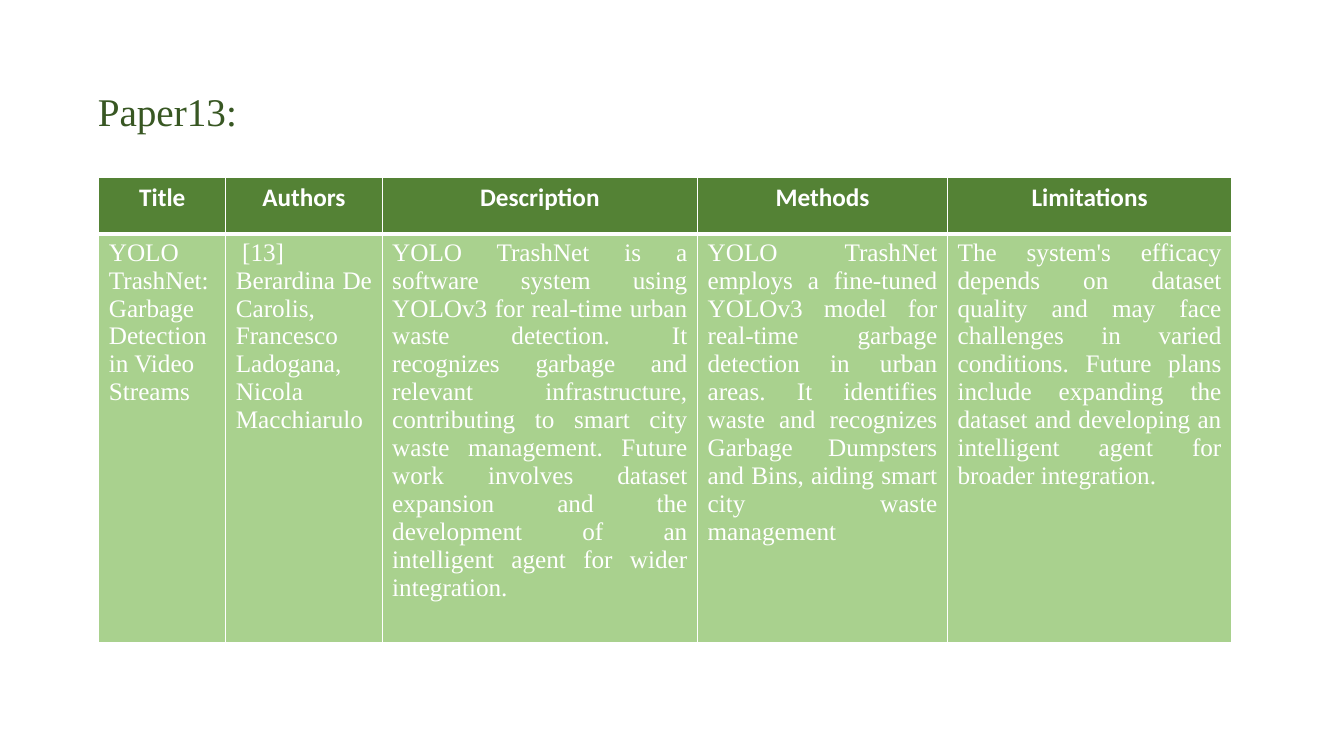
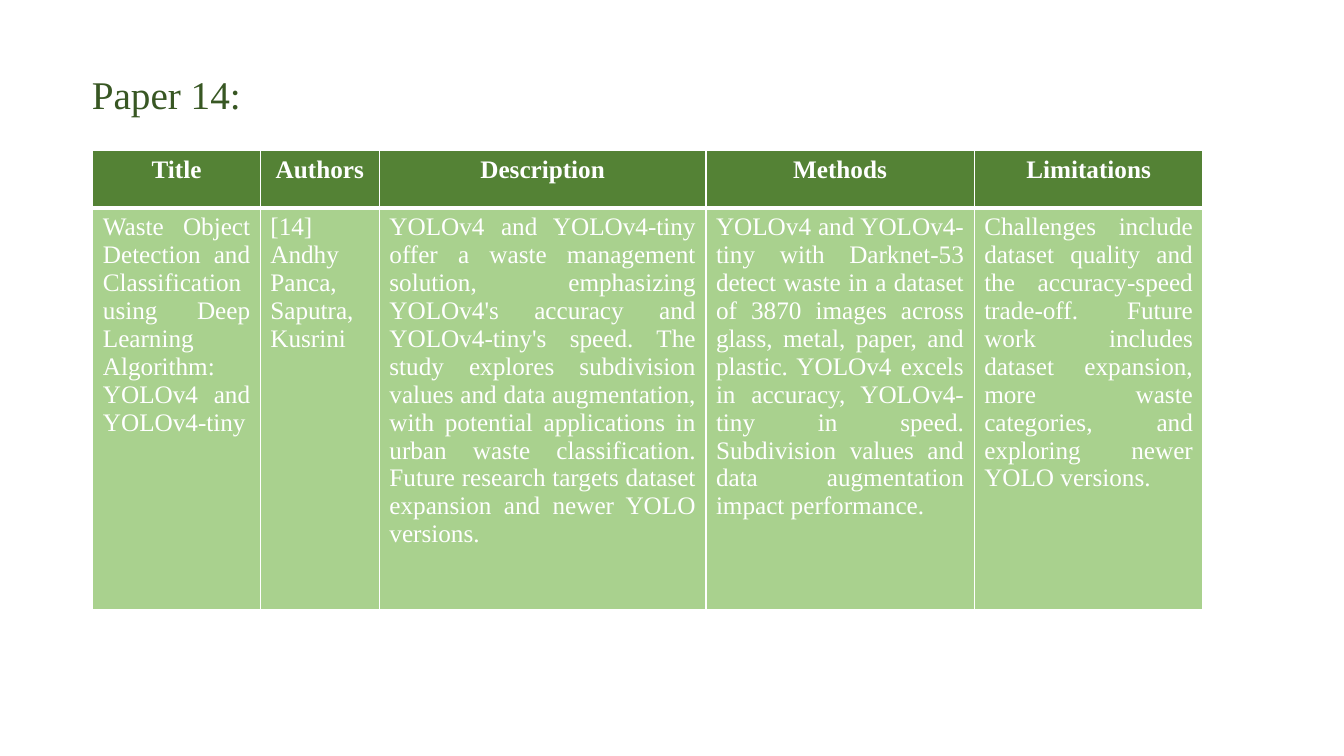
from pptx import Presentation
from pptx.dml.color import RGBColor
from pptx.enum.text import MSO_ANCHOR, MSO_AUTO_SIZE, PP_ALIGN
from pptx.oxml import parse_xml
from pptx.oxml.ns import nsdecls
from pptx.util import Cm, Pt

# Shared style
WHITE, TITLE_GREEN, HEAD_GREEN, BODY_GREEN = "FFFFFF", "385723", "548235", "A9D18E"
SERIF, SANS = "Times New Roman", "Calibri"
HEADERS = ["Title", "Authors", "Description", "Methods", "Limitations"]
TITLE_WIDTH = 29.46
TABLE_INDENT = 0.28  # table edge, measured from the title box

# Each cell is a list of paragraphs
PAPERS = [
    {
        "title": "Paper13:",
        "box": (2.21, 2.21),
        "table_top": 4.47,
        "head_font": SANS,
        "widths": [3.2, 3.94, 7.95, 6.3, 7.16],
        "heights": [1.42, 10.31],
        "cells": [
            ["YOLO TrashNet: Garbage Detection in Video", "Streams"],
            [" [13]", "Berardina De Carolis, Francesco Ladogana,",
             "Nicola Macchiarulo"],
            ["YOLO TrashNet is a software system using YOLOv3 for real-time "
             "urban waste detection. It recognizes garbage and relevant "
             "infrastructure, contributing to smart city waste management. "
             "Future work involves dataset expansion and the development of "
             "an intelligent agent for wider integration."],
            ["YOLO TrashNet employs a fine-tuned YOLOv3 model for real-time "
             "garbage detection in urban areas. It identifies waste and "
             "recognizes Garbage Dumpsters and Bins, aiding smart city waste "
             "management"],
            ["The system's efficacy depends on dataset quality and may face "
             "challenges in varied conditions. Future plans include expanding "
             "the dataset and developing an intelligent agent for broader "
             "integration."],
        ],
    },
    {
        "title": "Paper 14:",
        "box": (2.06, 1.78),
        "table_top": 3.8,
        "head_font": SERIF,
        "widths": [4.22, 3, 8.23, 6.76, 5.77],
        "heights": [1.45, 10.11],
        "cells": [
            ["Waste Object Detection and Classification using Deep Learning "
             "Algorithm:", "YOLOv4 and YOLOv4-tiny"],
            ["[14]", "Andhy Panca, Saputra, Kusrini"],
            ["YOLOv4 and YOLOv4-tiny offer a waste management solution, "
             "emphasizing YOLOv4's accuracy and YOLOv4-tiny's speed. The study "
             "explores subdivision values and data augmentation, with "
             "potential applications in urban waste classification. Future "
             "research targets dataset expansion and newer YOLO versions."],
            ["YOLOv4 and YOLOv4-tiny with Darknet-53 detect waste in a dataset "
             "of 3870 images across glass, metal, paper, and plastic. YOLOv4 "
             "excels in accuracy, YOLOv4-tiny in speed. Subdivision values and "
             "data augmentation impact performance."],
            ["Challenges include dataset quality and the accuracy-speed "
             "trade-off. Future work includes dataset expansion, more waste "
             "categories, and exploring newer YOLO versions."],
        ],
    },
]


def rgb(color):
    return RGBColor.from_string(color)


def write(tf, paragraphs, size=18, font=SERIF, color=WHITE, bold=False,
          align=PP_ALIGN.LEFT, line=None, before=None):
    """Fill a text frame with one run per paragraph."""
    for i, text in enumerate(paragraphs):
        p = tf.paragraphs[0] if i == 0 else tf.add_paragraph()
        p.alignment = align
        if line is not None:
            p.line_spacing = line
        if before is not None:
            p.space_before = Pt(before)
        r = p.add_run()
        r.text = text
        r.font.size, r.font.name, r.font.bold = Pt(size), font, bold
        r.font.color.rgb = rgb(color)


def set_borders(cell, **widths):
    """Draw white cell edges; L, R, T and B give their widths in points."""
    tcPr = cell._tc.get_or_add_tcPr()
    for i, side in enumerate("LRTB"):
        tcPr.insert(i, parse_xml(
            f'<a:ln{side} {nsdecls("a")} w="{Pt(widths.get(side, 1))}">'
            f'<a:solidFill><a:srgbClr val="{WHITE}"/></a:solidFill></a:ln{side}>'))


def add_title(s, text, left, top, width, height):
    sp = s.shapes.title
    sp.left, sp.top, sp.width, sp.height = map(Cm, (left, top, width, height))
    tf = sp.text_frame
    tf.word_wrap = True
    tf.auto_size = MSO_AUTO_SIZE.NONE
    tf.vertical_anchor = MSO_ANCHOR.TOP
    write(tf, [text], size=28, color=TITLE_GREEN, line=0.9, before=10)


def add_paper_table(s, left, top, widths, heights, cells, head_font):
    frame = s.shapes.add_table(2, len(widths), Cm(left), Cm(top),
                               Cm(sum(widths)), Cm(sum(heights)))
    table = frame.table
    table.horz_banding = False
    for column, width in zip(table.columns, widths):
        column.width = Cm(width)
    for row, height in zip(table.rows, heights):
        row.height = Cm(height)

    # Header row, then the row describing the paper
    rows = [
        ([[h] for h in HEADERS], HEAD_GREEN, {"B": 3},
         {"font": head_font, "bold": True, "align": PP_ALIGN.CENTER}),
        (cells, BODY_GREEN, {"T": 3}, {"align": PP_ALIGN.JUSTIFY}),
    ]
    for row, (texts, fill, edges, style) in zip(table.rows, rows):
        for cell, paragraphs in zip(row.cells, texts):
            cell.fill.solid()
            cell.fill.fore_color.rgb = rgb(fill)
            set_borders(cell, **edges)
            write(cell.text_frame, paragraphs, **style)


def add_paper_slide(prs, paper):
    s = prs.slides.add_slide(prs.slide_layouts[5])
    left, top = paper["box"]
    add_title(s, paper["title"], left, top, TITLE_WIDTH, paper["table_top"] - top)
    add_paper_table(s, left + TABLE_INDENT, paper["table_top"], paper["widths"],
                    paper["heights"], paper["cells"], paper["head_font"])


def main():
    prs = Presentation()
    prs.slide_width, prs.slide_height = Cm(33.87), Cm(19.05)
    for paper in PAPERS:
        add_paper_slide(prs, paper)
    prs.save("out.pptx")


if __name__ == "__main__":
    main()
